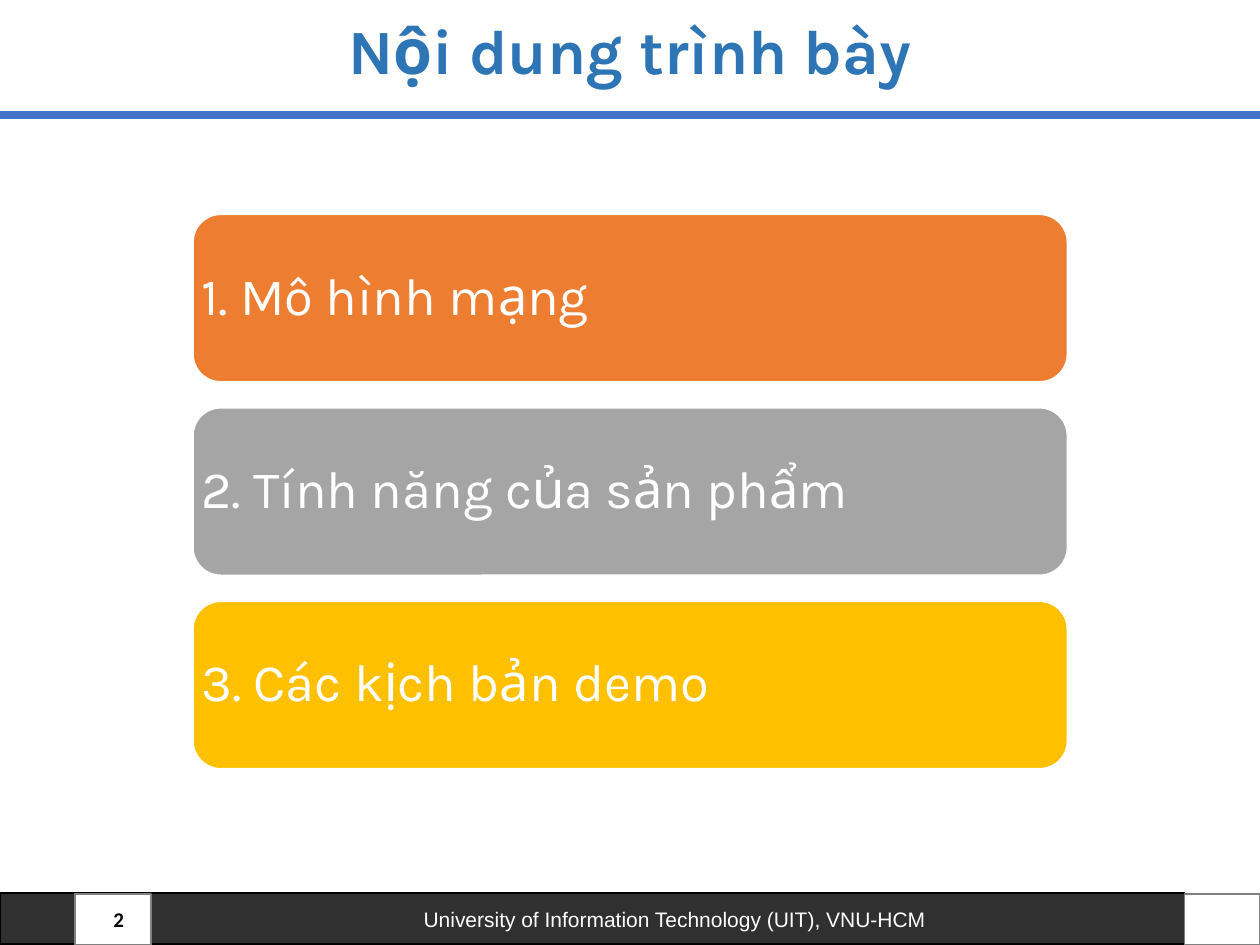
from pptx import Presentation
from pptx.dml.color import RGBColor
from pptx.enum.shapes import MSO_CONNECTOR as Link, MSO_SHAPE as Kind
from pptx.enum.text import MSO_ANCHOR as Anchor, MSO_AUTO_SIZE as Fit, PP_ALIGN as Align
from pptx.oxml.ns import qn
from pptx.util import Cm, Pt
from lxml import etree

WIDE, HIGH = 25.4, 19.05
FOOT = 18.01


def color(code):
    return RGBColor.from_string(code)


def write(frame, text, font="Karla", size=30, ink="FFFFFF", bold=False,
          align=Align.LEFT, line=None, pad=(0.25, 0.13, 0.25, 0.13)):
    frame.word_wrap = True
    frame.auto_size = Fit.NONE
    frame.vertical_anchor = Anchor.MIDDLE
    (frame.margin_left, frame.margin_top,
     frame.margin_right, frame.margin_bottom) = map(Cm, pad)
    para = frame.paragraphs[0]
    para.alignment = align
    if line:
        para.line_spacing = line
    run = para.add_run()
    run.text = text
    face = run.font
    face.name, face.size, face.bold = font, Pt(size), bold
    face.color.rgb = color(ink)


class Deck:
    blue, rule, grey = "2E75B6", "4472C4", "808080"

    def __init__(self):
        self.show = Presentation()
        self.show.slide_width, self.show.slide_height = Cm(WIDE), Cm(HIGH)
        self.slide = self.show.slides.add_slide(self.show.slide_layouts[5])

    def title(self, text, *box):
        head = self.slide.shapes.title
        head.left, head.top, head.width, head.height = map(Cm, box)
        write(head.text_frame, text, size=36, ink=self.blue, bold=True,
              align=Align.CENTER, line=0.9)

    def block(self, *box, fill, edge, kind=Kind.RECTANGLE, alpha=None):
        shape = self.slide.shapes.add_shape(kind, *map(Cm, box))
        shape.shadow.inherit = False
        shape.fill.solid()
        shape.fill.fore_color.rgb = color(fill)
        shape.line.color.rgb = color(edge)
        shape.line.width = Pt(1)
        if alpha:
            tint = shape.fill._xPr.find(".//" + qn("a:srgbClr"))
            etree.SubElement(tint, qn("a:alpha")).set("val", str(alpha * 1000))
        return shape

    def label(self, text, *box, **style):
        area = self.slide.shapes.add_textbox(*map(Cm, box))
        write(area.text_frame, text, **style)

    def line(self, left, top, right, low):
        link = self.slide.shapes.add_connector(
            Link.STRAIGHT, *map(Cm, (left, top, right, low)))
        link.line.color.rgb = color(self.rule)
        link.line.width = Pt(4.5)
        etree.SubElement(link._element.spPr, qn("a:effectLst"))


def main():
    deck = Deck()

    # Footer bar with a white square near each end
    bar = deck.block(0, FOOT, 23.88, 1.02, fill="000000", edge="000000", alpha=81)
    write(bar.text_frame, "University of Information Technology (UIT), VNU-HCM",
          font="Arial", size=12, align=Align.CENTER, pad=(3.71, 0.18, 0.38, 0.18))
    for left in (1.52, 23.88):
        deck.block(left, FOOT + 0.02, 1.52, 1.02, fill="FFFFFF", edge=deck.grey)

    # Heading and rule
    deck.line(0, 2.31, WIDE, 2.31)
    deck.title("Nội dung trình bày", 1.3, 0.38, 22.8, 1.42)

    # Agenda cards
    cards = (("Mô hình mạng", "ED7D31"),
             ("Tính năng của sản phẩm", "A5A5A5"),
             ("Các kịch bản demo", "FFC000"))
    for spot, (text, fill) in enumerate(cards):
        card = deck.block(3.89, 4.32 + 3.9 * spot, 17.63, 3.38, fill=fill,
                          edge="FFFFFF", kind=Kind.ROUNDED_RECTANGLE)
        # The inset counts from the inner edge of the rounded corners
        write(card.text_frame, f"{spot + 1}. {text}", line=0.9, pad=(0, 0.3, 0, 0.3))

    # Page number
    deck.label("2", 1.63, FOOT, 1.12, 1.02, font="Calibri", size=12,
               ink="000000", bold=True, align=Align.RIGHT)

    deck.show.save("out.pptx")


if __name__ == "__main__":
    main()
